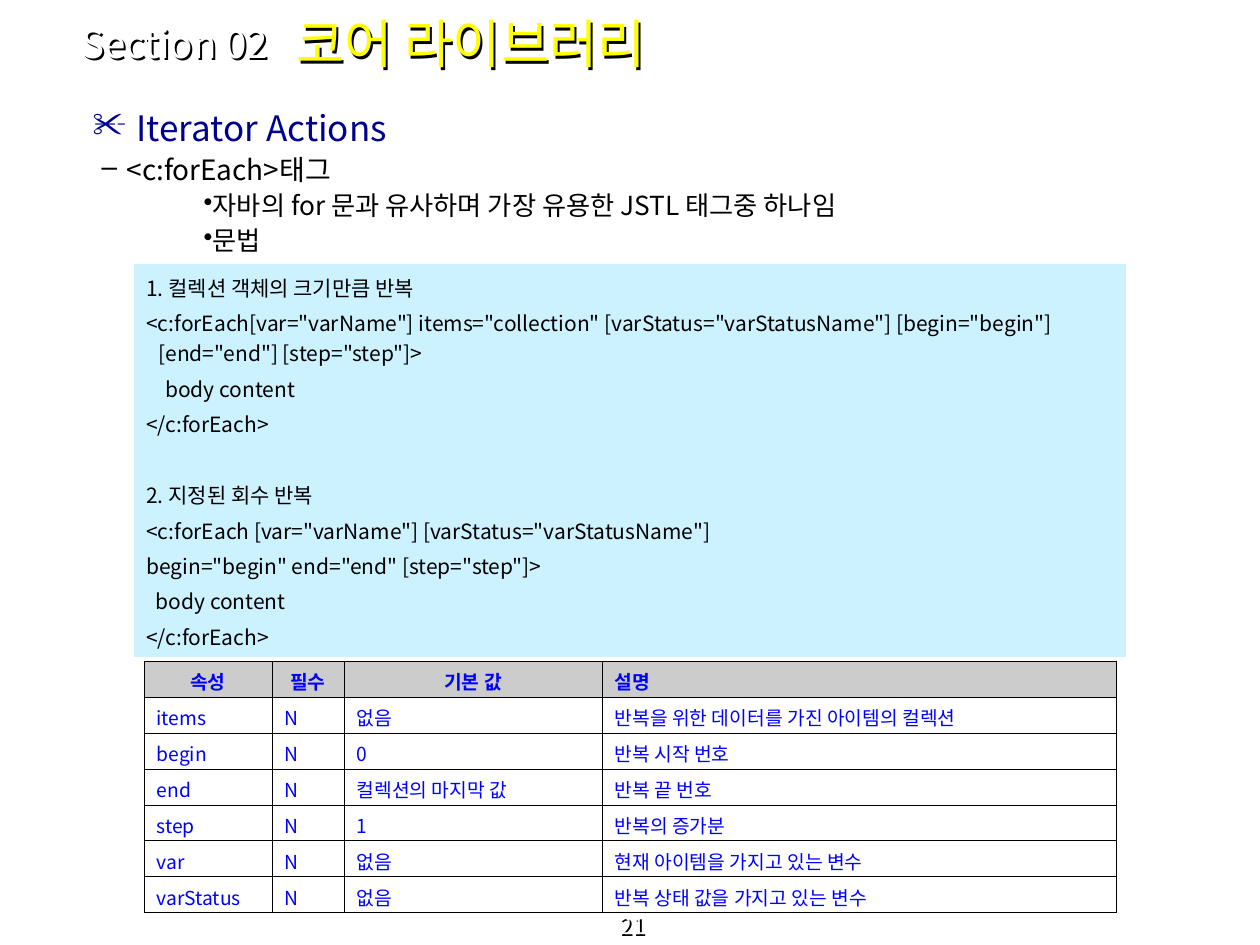
from dataclasses import dataclass

from lxml import etree
from pptx import Presentation
from pptx import util as u
from pptx.dml.color import RGBColor
from pptx.enum import shapes, text
from pptx.oxml import ns

PX = 914400 / 126


@dataclass(frozen=True)
class Theme:
    font: str = "Noto Sans CJK KR"
    white: str = "FFFFFF"
    black: str = "000000"
    yellow: str = "FFFF00"
    navy: str = "00008E"
    blue: str = "0000FF"
    code_fill: str = "CDF2FF"
    header_fill: str = "CCCCCC"
    title: int = 30
    section: int = 22
    code: int = 12
    table: int = 11
    page: int = 13


theme = Theme()


def px(count):
    return u.Emu(round(count * PX))


def format_runs(paragraph, size, color, bold=False, kerning=False):
    """Set type for Latin and East Asian letters; pair kerning is off by default."""
    for run in paragraph.runs:
        font = run.font
        font.size, font.bold, font.name = u.Pt(size), bold, theme.font
        font.color.rgb = RGBColor.from_string(color)
        properties = font._element
        if not kerning:
            properties.set("kern", "0")
        east_asian = etree.Element(ns.qn("a:ea"), typeface=theme.font)
        properties.find(ns.qn("a:latin")).addnext(east_asian)


presentation = Presentation()
presentation.slide_width, presentation.slide_height = px(1260), px(945)
slide = presentation.slides.add_slide(presentation.slide_layouts[1])
title, body = slide.placeholders

# Page number, title and section label, each with a dark shadow behind its letters
page_number = slide.shapes.add_textbox(0, 0, 0, 0)
section = slide.shapes.add_textbox(0, 0, 0, 0)
labels = [
    (page_number, " 21", (0, 917, 1260, 28), theme.page, theme.white,
     text.PP_ALIGN.CENTER, text.MSO_ANCHOR.BOTTOM),
    (title, " 코어 라이브러리", (272, 0, 818, 86), theme.title, theme.yellow,
     text.PP_ALIGN.LEFT, text.MSO_ANCHOR.MIDDLE),
    (section, "Section 02", (69, 20, 243, 47), theme.section, theme.white,
     text.PP_ALIGN.LEFT, text.MSO_ANCHOR.MIDDLE),
]
for shape, wording, box, size, color, alignment, anchor in labels:
    shape.left, shape.top, shape.width, shape.height = map(px, box)
    shape.fill.background()
    effects = etree.SubElement(shape._element.spPr, ns.qn("a:effectLst"))
    shadow = etree.SubElement(effects, ns.qn("a:outerShdw"),
                              blurRad="0", dist=str(px(3)), dir="2700000")
    etree.SubElement(shadow, ns.qn("a:srgbClr"), val=theme.black)
    frame = shape.text_frame
    frame.text = wording
    frame.word_wrap = True
    frame.auto_size = text.MSO_AUTO_SIZE.NONE
    frame.vertical_anchor = anchor
    frame.paragraphs[0].alignment = alignment
    format_runs(frame.paragraphs[0], size, color)

# Outline: per level, the bullet, left margin, indent, space before, size and colour
levels = [
    ("✂", 59, -44, 0, 20, theme.navy),
    ("–", 49, -25, 4, 16, theme.black),
    ("•", 74, 52, 3.7, 15, theme.black),
]
outline = [
    (0, "Iterator Actions"),
    (1, "<c:forEach>태그"),
    (2, "자바의 for 문과 유사하며 가장 유용한 JSTL 태그중 하나임"),
    (2, "문법"),
]
body.left, body.top, body.width, body.height = map(px, (65, 105, 1134, 624))
body.text_frame.auto_size = text.MSO_AUTO_SIZE.NONE
body.text_frame.text = "\n".join(wording for _, wording in outline)
for paragraph, (level, _) in zip(body.text_frame.paragraphs, outline):
    bullet, margin, indent, space, size, color = levels[level]
    paragraph.level = level
    paragraph.line_spacing = 0.9
    paragraph.space_before = u.Pt(space)
    properties = paragraph._p.get_or_add_pPr()
    properties.set("marL", str(px(margin)))
    properties.set("indent", str(px(indent)))
    bullet_color = etree.SubElement(properties, ns.qn("a:buClr"))
    etree.SubElement(bullet_color, ns.qn("a:srgbClr"), val=color)
    etree.SubElement(properties, ns.qn("a:buFontTx"))
    etree.SubElement(properties, ns.qn("a:buChar"), char=bullet)
    format_runs(paragraph, size, color)

# Syntax panel: the second heading stands one line lower
syntax = [
    ("1. 컬렉션 객체의 크기만큼 반복", 0),
    ('<c:forEach[var="varName"] items="collection" [varStatus="varStatusName"] '
     '[begin="begin"] [end="end"] [step="step"]>', 3),
    ("    body content", 3),
    ("</c:forEach>", 3),
    ("2. 지정된 회수 반복", 23.2),
    ('<c:forEach [var="varName"] [varStatus="varStatusName"]', 3),
    ('begin="begin" end="end" [step="step"]>', 3),
    ("  body content", 3),
    ("</c:forEach>", 3),
]
panel = slide.shapes.add_shape(shapes.MSO_SHAPE.RECTANGLE, *map(px, (134, 264, 992, 393)))
panel.shadow.inherit = False
panel.fill.solid()
panel.fill.fore_color.rgb = RGBColor.from_string(theme.code_fill)
panel.line.fill.background()
panel.text_frame.word_wrap = True
panel.text_frame.vertical_anchor = text.MSO_ANCHOR.TOP
panel.text_frame.text = "\n".join(line for line, _ in syntax)
for paragraph, (_, space) in zip(panel.text_frame.paragraphs, syntax):
    paragraph.alignment = text.PP_ALIGN.LEFT
    paragraph.line_spacing = 1.2
    paragraph.space_before = u.Pt(space)
    properties = paragraph._p.get_or_add_pPr()
    properties.set("marL", str(px(12)))
    properties.set("indent", str(px(-12)))
    format_runs(paragraph, theme.code, theme.black, kerning=True)

# Attribute table
attributes = [
    ("속성", "필수", "기본 값", "설명"),
    ("items", "N", "없음", "반복을 위한 데이터를 가진 아이템의 컬렉션"),
    ("begin", "N", "0", "반복 시작 번호"),
    ("end", "N", "컬렉션의 마지막 값", "반복 끝 번호"),
    ("step", "N", "1", "반복의 증가분"),
    ("var", "N", "없음", "현재 아이템을 가지고 있는 변수"),
    ("varStatus", "N", "없음", "반복 상태 값을 가지고 있는 변수"),
]
column_widths = (128, 72, 258, 514)
row_height = 36
table = slide.shapes.add_table(
    len(attributes), len(column_widths), px(144), px(661),
    px(sum(column_widths)), px(row_height * len(attributes))).table
for column, width in zip(table.columns, column_widths):
    column.width = px(width)
for row_index, row in enumerate(attributes):
    table.rows[row_index].height = px(row_height)
    is_header = row_index == 0
    for column_index, wording in enumerate(row):
        cell = table.cell(row_index, column_index)
        cell.text = wording
        cell.vertical_anchor = text.MSO_ANCHOR.MIDDLE
        cell.margin_top, cell.margin_bottom = px(6), px(2)
        paragraph = cell.text_frame.paragraphs[0]
        centered = is_header and column_index < 3
        paragraph.alignment = text.PP_ALIGN.CENTER if centered else text.PP_ALIGN.JUSTIFY
        format_runs(paragraph, theme.table, theme.blue, bold=is_header)
        properties = cell._tc.get_or_add_tcPr()
        for side in ("lnL", "lnR", "lnT", "lnB"):
            border = etree.SubElement(properties, ns.qn(f"a:{side}"), w=str(u.Pt(0.45)))
            fill = etree.SubElement(border, ns.qn("a:solidFill"))
            etree.SubElement(fill, ns.qn("a:srgbClr"), val=theme.black)
        if is_header:
            cell.fill.solid()
            cell.fill.fore_color.rgb = RGBColor.from_string(theme.header_fill)
        else:
            cell.fill.background()

presentation.save("out.pptx")
